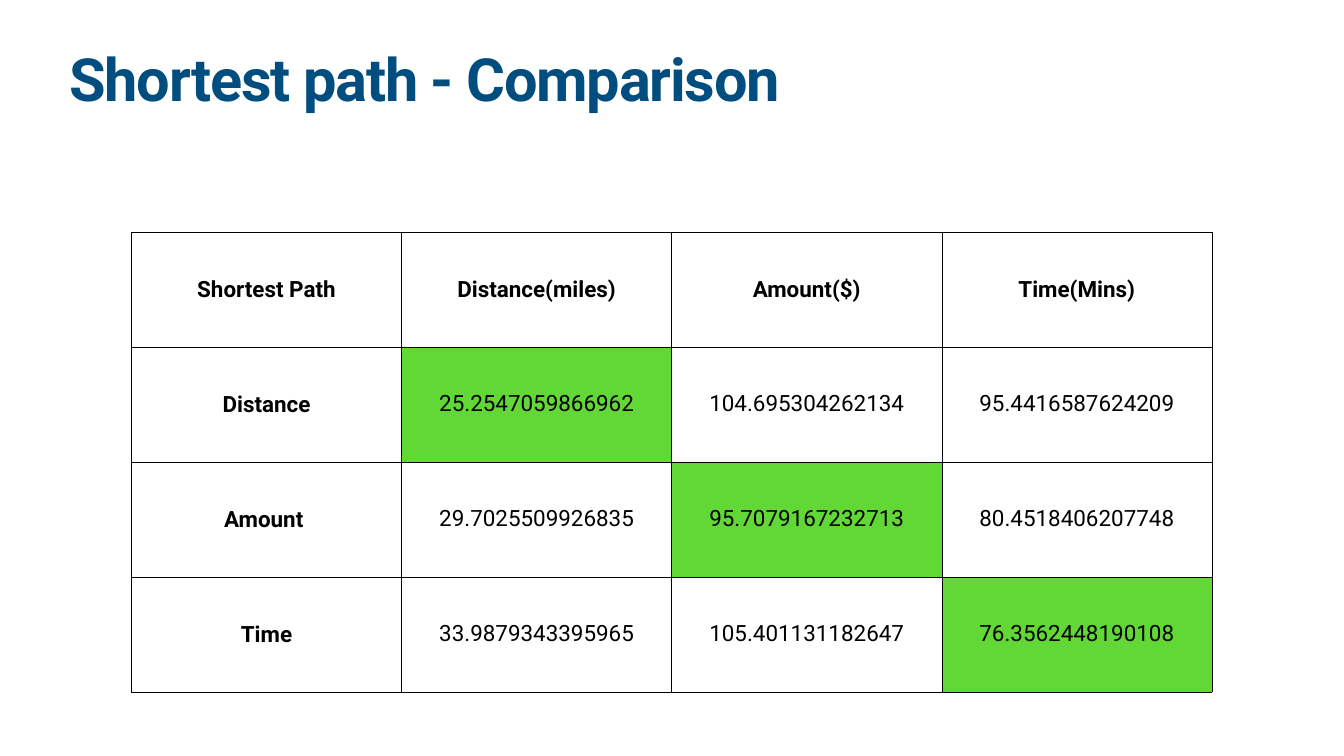
from lxml import etree
from pptx import Presentation
from pptx.dml.color import RGBColor
from pptx.enum import text as txt
from pptx.oxml.ns import qn
from pptx.util import Inches, Pt

FONT = "Roboto"
BLUE = RGBColor(0x00, 0x4D, 0x80)
BLACK = RGBColor(0, 0, 0)
GREEN = RGBColor(0x61, 0xD8, 0x36)
PAD = Inches(0.06)

HEADS = ["Shortest Path", "Distance(miles)", "Amount($)", "Time(Mins)"]
ROWS = [
    ["Distance", "25.2547059866962", "104.695304262134", "95.4416587624209"],
    ["Amount ", "29.7025509926835", "95.7079167232713", "80.4518406207748"],
    ["Time", "33.9879343395965", "105.401131182647", "76.3562448190108"],
]


def write(frame, words, size=32, color=BLACK, bold=False, align=None,
          line=None, before=None, track=None):
    para = frame.paragraphs[0]
    para.alignment = align
    para.line_spacing = line
    if before is not None:
        para.space_before = Pt(before)
    run = para.add_run()
    run.text = words
    font = run.font
    font.name, font.size, font.bold = FONT, Pt(size), bold
    font.color.rgb = color
    if track is not None:
        font._element.set("spc", str(round(track * 100)))


def pad(box):
    box.margin_left = box.margin_right = PAD
    box.margin_top = box.margin_bottom = PAD


def add_title(slide, words):
    box = slide.shapes.add_textbox(Inches(1.32), Inches(1.04),
                                   Inches(24.03), Inches(1.57))
    frame = box.text_frame
    frame.word_wrap = True
    pad(frame)
    write(frame, words, size=85, color=BLUE, bold=True, line=0.8, track=-1.7)


def edge(cell):
    # Borders come before the fill in the cell properties
    props = cell._tc.get_or_add_tcPr()
    for i, side in enumerate(("a:lnL", "a:lnR", "a:lnT", "a:lnB")):
        line = etree.Element(qn(side), w=str(Pt(1)))
        fill = etree.SubElement(line, qn("a:solidFill"))
        etree.SubElement(fill, qn("a:srgbClr"), val=str(BLACK))
        props.insert(i, line)


def add_grid(slide, rows):
    count, wide = len(rows), len(rows[0])
    table = slide.shapes.add_table(
        count, wide, Inches(2.61), Inches(4.61),
        Inches(5.36 * wide), Inches(2.28 * count)).table
    table.horz_banding = False
    for r, row in enumerate(rows):
        for c, words in enumerate(row):
            cell = table.cell(r, c)
            pad(cell)
            cell.vertical_anchor = txt.MSO_ANCHOR.MIDDLE
            # The best value of each measure lies on the diagonal
            if r == c > 0:
                cell.fill.solid()
                cell.fill.fore_color.rgb = GREEN
            else:
                cell.fill.background()
            edge(cell)
            label = r == 0 or c == 0
            write(cell.text_frame, words, bold=label,
                  align=txt.PP_ALIGN.CENTER,
                  line=None if label else 0.9,
                  before=None if label else 45)


def main():
    deck = Presentation()
    deck.slide_width, deck.slide_height = Inches(26.67), Inches(15)
    slide = deck.slides.add_slide(deck.slide_layouts[6])
    add_title(slide, "Shortest path - Comparison")
    add_grid(slide, [HEADS] + ROWS)
    deck.save("out.pptx")


if __name__ == "__main__":
    main()
